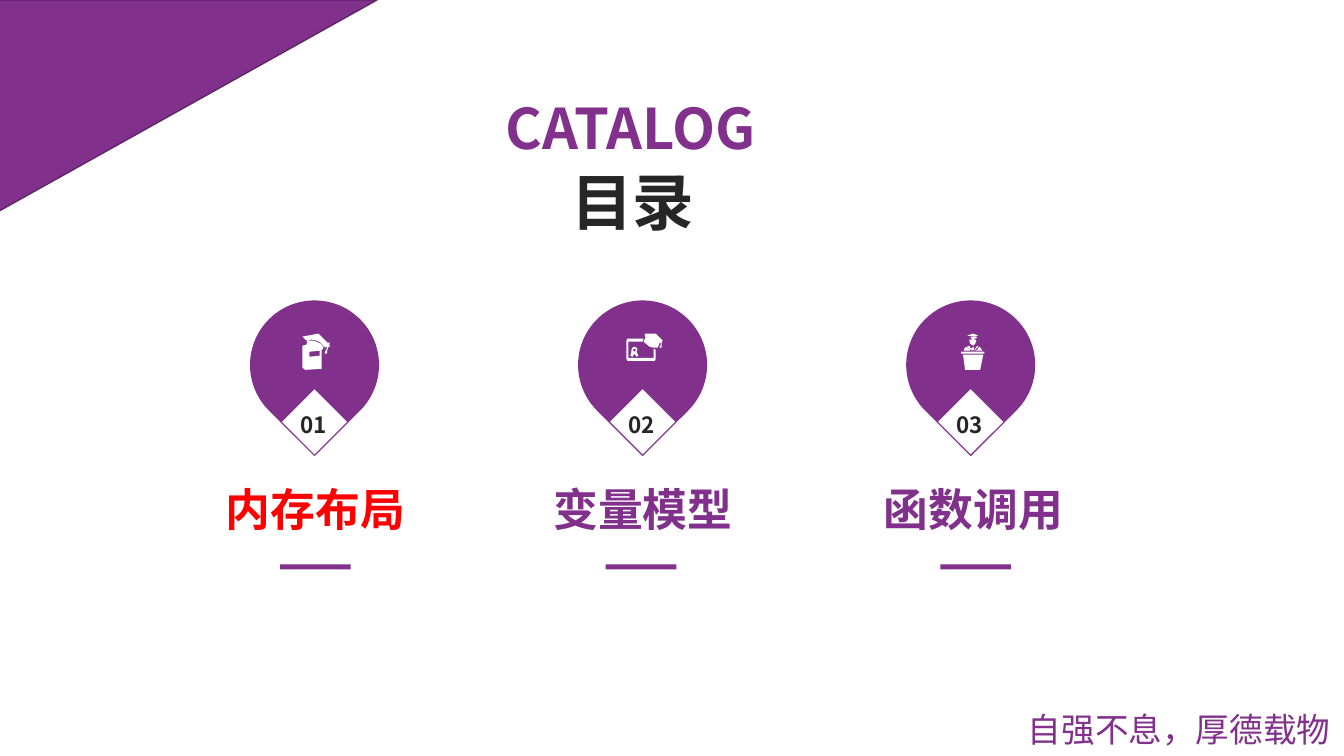
"""Build the catalog slide with three numbered pins."""
from dataclasses import dataclass

from lxml import etree
from pptx import Presentation
from pptx.dml.color import RGBColor
from pptx.enum.shapes import MSO_SHAPE
from pptx.enum.text import MSO_AUTO_SIZE, PP_ALIGN
from pptx.oxml.ns import qn
from pptx.util import Inches, Pt

TRIANGLE = MSO_SHAPE.RIGHT_TRIANGLE
TEARDROP = MSO_SHAPE.TEAR
RECTANGLE = MSO_SHAPE.RECTANGLE
GROW = MSO_AUTO_SIZE.SHAPE_TO_FIT_TEXT
LEFT, CENTER = PP_ALIGN.LEFT, PP_ALIGN.CENTER

COLUMNS, ROWS = 160, 90
CELL = Inches(1 / 12)
FIRST_CENTER, PITCH = 37.44, 39.06
ICON_STEP = Inches(0.01)


@dataclass(frozen=True)
class Theme:
    """Hold the colours, font and type sizes."""
    purple: str = "81308C"
    plum: str = "5F2468"
    ink: str = "262626"
    red: str = "FF0000"
    white: str = "FFFFFF"
    font: str = "Noto Sans CJK SC"
    heading: int = 44
    english: int = 40
    caption: int = 32
    slogan: int = 24
    number: int = 16


@dataclass(frozen=True)
class Topic:
    """Describe one catalog entry, with the shifts of its caption and bar."""
    caption: str
    color: str
    caption_shift: float
    bar_shift: float
    icon: tuple


THEME = Theme()

BOOK_ICON = (
    ((17, 17), (7, 18), (7, 23), (17, 22)),
    ((4, 11), (12, 13), (18, 15), (19, 16), (19, 35), (3, 36), (0, 34), (0, 12)),
    ((5, 7), (10, 7), (14, 8), (18, 10), (21, 13), (20, 16), (12, 13), (4, 11)),
    ((16, 0), (25, 9), (27, 9), (27, 11), (26, 11), (28, 13), (26, 13), (24, 18),
     (25, 18), (24, 20), (22, 20), (23, 17), (25, 13), (22, 14), (22, 13),
     (18, 9), (14, 7), (9, 6), (4, 7), (0, 3)),
)
CERTIFICATE_ICON = (
    ((1, 5), (17, 5), (16, 8), (2, 8), (2, 24), (27, 24), (27, 15), (29, 16),
     (29, 26), (28, 27), (1, 27), (0, 25), (0, 7)),
    ((8, 13), (10, 14), (11, 16), (10, 18), (12, 22), (10, 23), (8, 20), (6, 23),
     (4, 22), (5, 18), (5, 16), (6, 14)),
    ((8, 15), (6, 16), (8, 18), (10, 16)),
    ((19, 0), (29, 0), (36, 7), (35, 9), (35, 14), (33, 14), (33, 12), (34, 12),
     (34, 9), (33, 9), (31, 14), (27, 14), (23, 13), (17, 8), (19, 4), (18, 1)),
)
SPEAKER_ICON = (
    ((2, 21), (22, 21), (19, 36), (4, 36)),
    ((0, 18), (23, 18), (23, 20), (0, 20)),
    ((5, 13), (9, 16), (9, 17), (3, 17), (3, 15)),
    ((18, 13), (20, 15), (21, 17), (14, 17), (16, 16)),
    ((8, 12), (11, 17), (6, 13)),
    ((16, 12), (17, 13), (13, 17), (14, 15)),
    ((12, 13), (13, 15), (12, 17), (10, 15)),
    ((8, 6), (15, 6), (15, 8), (14, 10), (12, 12), (9, 10)),
    ((9, 4), (15, 3), (16, 4), (12, 6), (10, 5)),
    ((12, 0), (17, 2), (12, 3), (6, 2)),
)

TOPICS = (
    Topic("内存布局", THEME.red, 0.12, 0.12, BOOK_ICON),
    Topic("变量模型", THEME.purple, 0.06, -0.18, CERTIFICATE_ICON),
    Topic("函数调用", THEME.purple, 0.36, 0.6, SPEAKER_ICON),
)


def cells(*counts):
    """Turn grid cells into lengths."""
    return [round(count * CELL) for count in counts]


def paint(shape, fill, line=None, weight=0.75):
    """Give a shape a flat fill and an optional outline."""
    shape.shadow.inherit = False
    shape.fill.solid()
    shape.fill.fore_color.rgb = RGBColor.from_string(fill)
    if line:
        shape.line.color.rgb = RGBColor.from_string(line)
        shape.line.width = Pt(weight)
    else:
        shape.line.fill.background()


def add_block(shapes, kind, place, fill, line=None, weight=0.75, turn=0):
    """Add a painted preset shape, placed in grid cells."""
    block = shapes.add_shape(kind, *cells(*place))
    block.rotation = turn
    paint(block, fill, line, weight)


def add_label(shapes, text, place, size, color, bold=True, align=LEFT, wrap=False):
    """Add a one-line text box, placed in grid cells."""
    box = shapes.add_textbox(*cells(*place))
    frame = box.text_frame
    frame.text = text
    frame.word_wrap = wrap
    frame.auto_size = GROW
    para = frame.paragraphs[0]
    para.alignment = align
    span = para.runs[0]
    span.font.name = THEME.font
    span.font.size = Pt(size)
    span.font.bold = bold
    span.font.color.rgb = RGBColor.from_string(color)
    etree.SubElement(span.font._element, qn("a:ea"), typeface=THEME.font)


def add_icon(shapes, contours, center, top):
    """Add a white icon made of closed contours, centred on a column."""
    width = max(x for contour in contours for x, _ in contour)
    first, *others = contours
    builder = shapes.build_freeform(*first[0], scale=ICON_STEP)
    builder.add_line_segments(first[1:], close=True)
    for contour in others:
        builder.move_to(*contour[0])
        builder.add_line_segments(contour[1:], close=True)
    left, top = cells(center, top)
    icon = builder.convert_to_shape(left - width * ICON_STEP // 2, top)
    paint(icon, THEME.white)


def add_pin(page, topic, number, center):
    """Add a grouped pin with its icon and number."""
    shapes = page.shapes.add_group_shape().shapes
    add_block(shapes, TEARDROP, (center - 7.68, 35.76, 15.36, 15.36),
              THEME.purple, turn=135)
    add_block(shapes, RECTANGLE, (center - 2.82, 47.4, 5.64, 5.64),
              THEME.white, THEME.purple, turn=45)
    add_icon(shapes, topic.icon, center + 0.24, 39.72)
    add_label(shapes, f"{number:02d}", (center - 2.88, 48.36, 5.76, 4.44),
              THEME.number, THEME.ink)


def add_topic(page, topic, number):
    """Add one column: pin, caption and bar."""
    center = FIRST_CENTER + (number - 1) * PITCH
    add_pin(page, topic, number, center)
    add_label(page.shapes, topic.caption,
              (center + topic.caption_shift - 12, 56.76, 24, 7.68),
              THEME.caption, topic.color, align=CENTER)
    add_block(page.shapes, RECTANGLE,
              (center + topic.bar_shift - 4.2, 67.2, 8.4, 0.6), THEME.purple)


def main():
    """Build and save the deck."""
    deck = Presentation()
    deck.slide_width, deck.slide_height = cells(COLUMNS, ROWS)
    page = deck.slides.add_slide(deck.slide_layouts[6])
    add_block(page.shapes, TRIANGLE, (9.72, -9.96, 25.2, 45.12),
              THEME.purple, THEME.plum, weight=1, turn=90)
    add_label(page.shapes, "自强不息，厚德载物", (121.2, 83.76, 38.88, 6),
              THEME.slogan, THEME.purple, bold=False, wrap=True)
    add_label(page.shapes, "目录", (66.84, 18.96, 17.28, 10.08),
              THEME.heading, THEME.ink)
    add_label(page.shapes, "CATALOG", (59.04, 10.56, 34.44, 9.24),
              THEME.english, THEME.purple)
    for number, topic in enumerate(TOPICS, start=1):
        add_topic(page, topic, number)
    deck.save("out.pptx")


if __name__ == "__main__":
    main()
